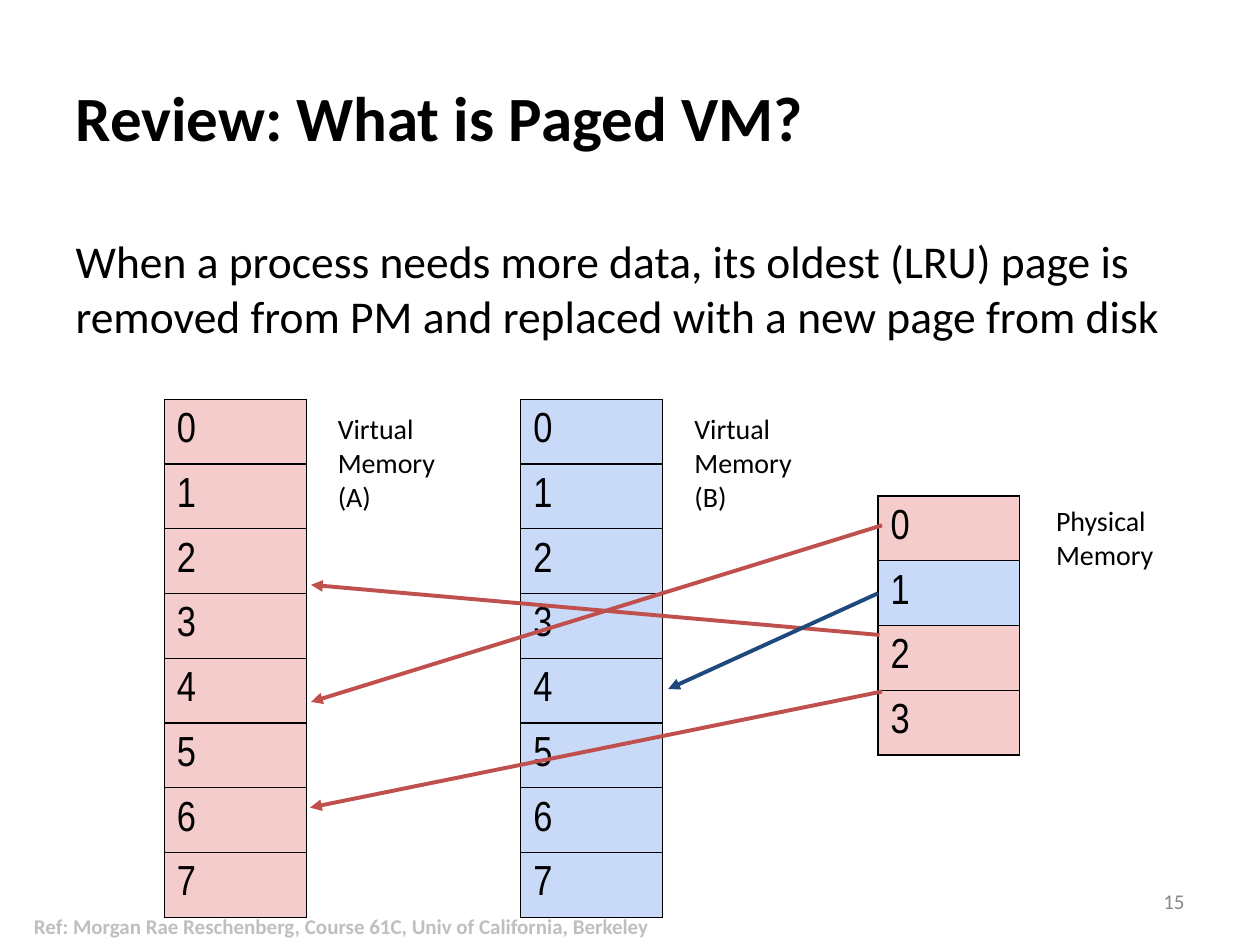
from dataclasses import dataclass

from lxml.etree import SubElement
from pptx import Presentation
from pptx.dml.color import RGBColor as Rgb
from pptx.enum.shapes import MSO_CONNECTOR as Connector
from pptx.enum.text import MSO_ANCHOR as Anchor, MSO_AUTO_SIZE as AutoSize, PP_ALIGN as Align
from pptx.oxml.ns import qn
from pptx.util import Cm, Pt

# Content
TITLE = "Review: What is Paged VM?"
BODY = ("When a process needs more data, its oldest (LRU) page is "
        "removed from PM and replaced with a new page from disk")
PAGE_NUMBER = "15"
REFERENCE = "Ref: Morgan Rae Reschenberg, Course 61C, Univ of California, Berkeley"

# Memories: left, top (cm), owner of each page
MEMORIES = [
    (3.31, 8.05, "AAAAAAAA"),
    (17.7, 10.0, "ABAA"),
    (10.5, 8.05, "BBBBBBBB"),
]
# Labels: text, left, top (cm)
LABELS = [
    ("Virtual Memory (A)", 6.56, 8.05),
    ("Physical Memory", 21.04, 9.9),
    ("Virtual Memory (B)", 13.75, 8.05),
]
# Mappings from physical to virtual pages: owner, start, end (cm)
MAPPINGS = [
    ("A", (17.78, 10.59), (6.27, 14.15)),
    ("A", (17.78, 13.94), (6.25, 16.28)),
    ("A", (17.73, 12.8), (6.27, 11.79)),
    ("B", (17.7, 11.96), (13.47, 13.89)),
]


@dataclass(frozen=True)
class Theme:
    text_font: str = "Calibri"
    page_font: str = "Arial Narrow"
    title_size: float = 36
    body_size: float = 26
    page_size: float = 24
    label_size: float = 16
    footer_size: float = 12
    ink: str = "000000"
    number: str = "888888"
    reference: str = "BFBFBF"


THEME = Theme()
PAGE_FILLS = {"A": "F4CCCC", "B": "C9DAF8"}
ARROW_COLOURS = {"A": "C0504D", "B": "1F497D"}
COLUMN_WIDTH, ROW_HEIGHT = 2.86, 1.07
PADDING = Pt(7.2)


def fill_text(frame, text, size, colour=THEME.ink, font=THEME.text_font,
              bold=False, align=Align.LEFT):
    frame.text = text
    paragraph = frame.paragraphs[0]
    paragraph.alignment = align
    for run in paragraph.runs:
        run.font.size = Pt(size)
        run.font.name = font
        run.font.bold = bold
        run.font.color.rgb = Rgb.from_string(colour)


def place(part, left, top, width, height):
    part.left, part.top = Cm(left), Cm(top)
    part.width, part.height = Cm(width), Cm(height)


def set_padding(frame, vertical):
    frame.margin_left = frame.margin_right = PADDING
    frame.margin_top = frame.margin_bottom = vertical


def add_text(slide, box, text, size, anchor=Anchor.TOP, vertical=PADDING, **style):
    frame = slide.shapes.add_textbox(*map(Cm, box)).text_frame
    frame.word_wrap = True
    frame.vertical_anchor = anchor
    set_padding(frame, vertical)
    fill_text(frame, text, size, **style)


def outline_cell(cell):
    properties = cell._tc.get_or_add_tcPr()
    for position, side in enumerate(("lnL", "lnR", "lnT", "lnB")):
        border = SubElement(properties, qn(f"a:{side}"), w=str(Pt(0.75)))
        SubElement(SubElement(border, qn("a:solidFill")), qn("a:srgbClr"), val=THEME.ink)
        properties.insert(position, border)


def add_memory(slide, left, top, owners):
    memory = slide.shapes.add_table(
        len(owners), 1, Cm(left), Cm(top), Cm(COLUMN_WIDTH),
        Cm(ROW_HEIGHT * len(owners))).table
    memory.first_row = memory.horz_banding = False
    for page, owner in enumerate(owners):
        memory.rows[page].height = Cm(ROW_HEIGHT)
        cell = memory.cell(page, 0)
        cell.fill.solid()
        cell.fill.fore_color.rgb = Rgb.from_string(PAGE_FILLS[owner])
        set_padding(cell, PADDING)
        fill_text(cell.text_frame, str(page), THEME.page_size, font=THEME.page_font)
        outline_cell(cell)


def add_mapping(slide, owner, start, end):
    arrow = slide.shapes.add_connector(Connector.STRAIGHT, *map(Cm, start + end))
    arrow.line.color.rgb = Rgb.from_string(ARROW_COLOURS[owner])
    arrow.line.width = Pt(2.25)
    SubElement(arrow.line._get_or_add_ln(), qn("a:tailEnd"), type="triangle")
    SubElement(arrow._element.spPr, qn("a:effectLst"))


def main():
    deck = Presentation()
    deck.slide_width, deck.slide_height = Cm(25.4), Cm(19.05)
    slide = deck.slides.add_slide(deck.slide_layouts[1])

    # Title and statement
    title, body = slide.shapes.title, slide.placeholders[1]
    place(title, 1.27, 0.76, 22.86, 3.18)
    title.text_frame.vertical_anchor = Anchor.MIDDLE
    fill_text(title.text_frame, TITLE, THEME.title_size, bold=True)
    place(body, 1.27, 4.45, 22.86, 13.46)
    set_padding(body.text_frame, PADDING)
    fill_text(body.text_frame, BODY, THEME.body_size)
    statement = body.text_frame.paragraphs[0]
    statement.space_before = Pt(6.4)
    properties = statement._p.get_or_add_pPr()
    properties.set("marL", "0")
    properties.set("indent", "0")
    SubElement(properties, qn("a:buNone"))
    for part in (title, body):
        part.text_frame.auto_size = AutoSize.NONE

    # Memories, labels and mappings
    for memory in MEMORIES:
        add_memory(slide, *memory)
    for label, left, top in LABELS:
        add_text(slide, (left, top, 2.64, 1.78), label, THEME.label_size)
    for mapping in MAPPINGS:
        add_mapping(slide, *mapping)

    # Footer
    footer = dict(size=THEME.footer_size, anchor=Anchor.MIDDLE, vertical=Cm(0.13))
    add_text(slide, (18.21, 17.65, 5.92, 1.02), PAGE_NUMBER,
             colour=THEME.number, align=Align.RIGHT, **footer)
    add_text(slide, (0.08, 18.16, 13.61, 1.02), REFERENCE,
             colour=THEME.reference, bold=True, align=Align.CENTER, **footer)

    deck.save("out.pptx")


if __name__ == "__main__":
    main()
